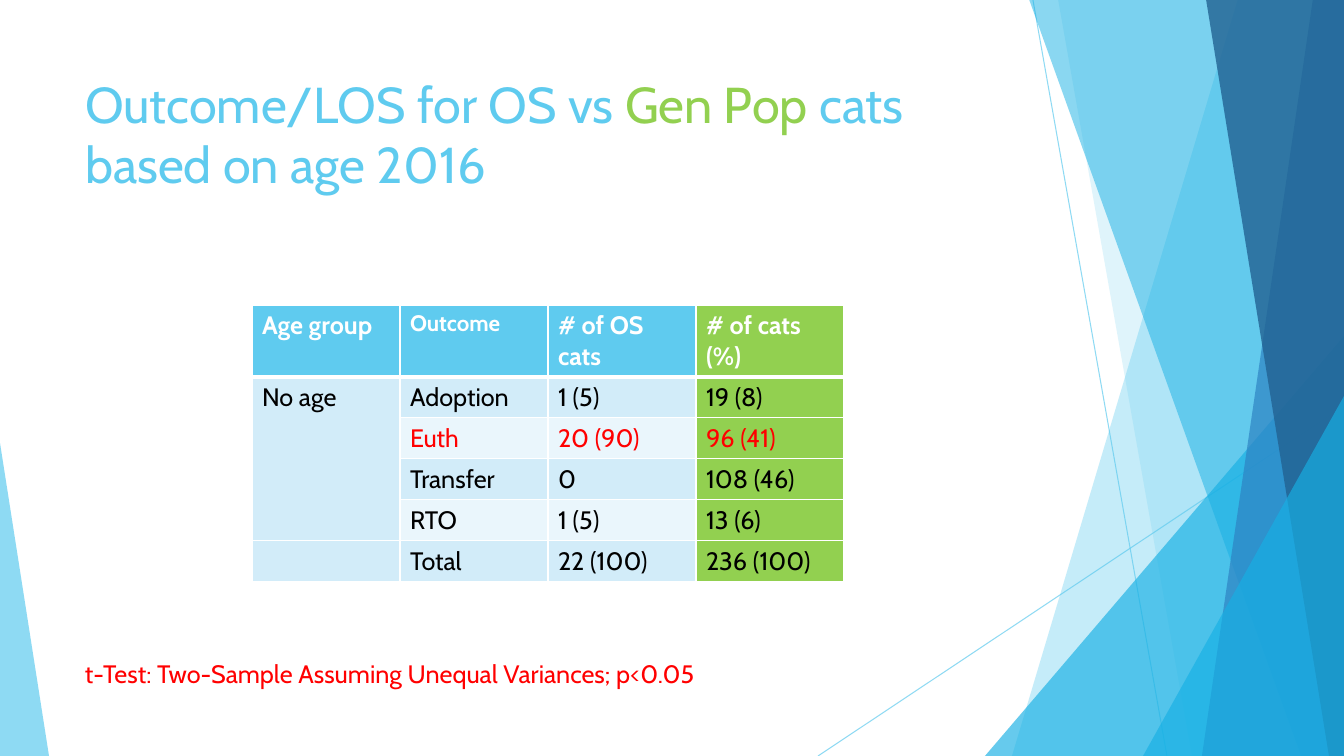
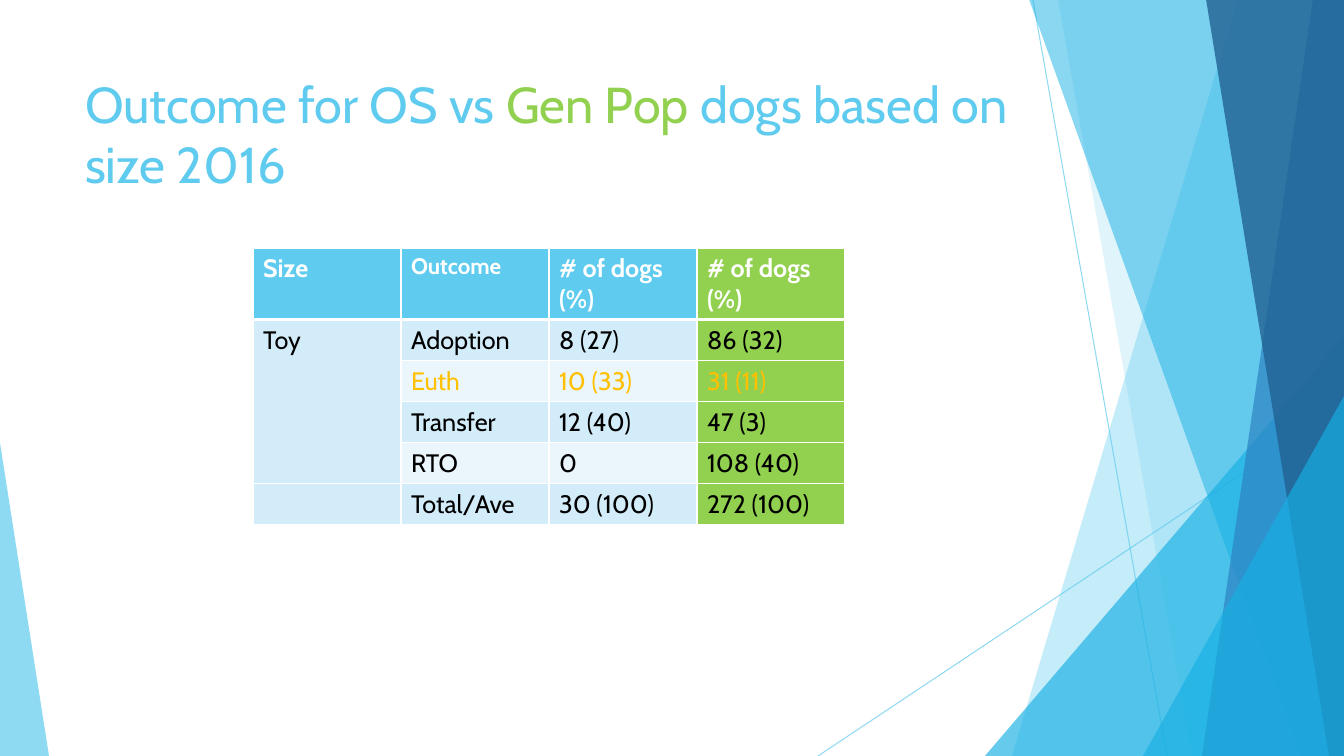
"""Build two shelter outcome slides with a shared faceted backdrop."""
from dataclasses import dataclass

from lxml.etree import SubElement
from pptx import Presentation
from pptx.dml.color import RGBColor
from pptx.enum.shapes import MSO_CONNECTOR, MSO_SHAPE
from pptx.enum.text import MSO_ANCHOR, MSO_AUTO_SIZE, PP_ALIGN
from pptx.oxml import parse_xml
from pptx.oxml.ns import nsdecls, qn
from pptx.util import Emu, Pt

EMU_PER_PIXEL = 914400 / 100.8
SLIDE_WIDTH, SLIDE_HEIGHT = 1344, 756
TITLE_BOX = (75, 68, 948, 145)
NOTE_BOX = (75, 653, 659, 40)
COLUMN_WIDTH, ROW_HEIGHT = 148, 41
TITLE_ONLY_LAYOUT = 5


@dataclass(frozen=True)
class Theme:
    """Colours, font and type sizes of the deck."""
    font: str = "Cabin"
    title_size: int = 36
    text_size: int = 18
    small_size: int = 16
    sky: str = "5FCBEF"
    cyan: str = "17B0E4"
    blue: str = "2E83C3"
    navy: str = "226292"
    green: str = "92D050"
    band_dark: str = "D2ECF9"
    band_light: str = "EAF6FC"
    white: str = "FFFFFF"
    black: str = "000000"
    red: str = "FF0000"
    amber: str = "FFC000"


THEME = Theme()


@dataclass(frozen=True)
class Ray:
    """Thin straight line of the backdrop."""
    start: tuple[int, int]
    end: tuple[int, int]


@dataclass(frozen=True)
class Facet:
    """Band from the slide's top to its bottom, closed by the right edge."""
    top: int
    bottom: int
    color: str
    opacity: int


@dataclass(frozen=True)
class Wedge:
    """Right-angled triangle with its peak at the left (0) or right (1)."""
    box: tuple[int, int, int, int]
    peak: int
    color: str
    opacity: int


@dataclass(frozen=True)
class OutcomeSlide:
    """Title parts, table and optional note of one slide."""
    title: tuple[str, str, str]
    table_corner: tuple[int, int]
    header: tuple[str, ...]
    group: str
    rows: tuple[tuple[str, str, str], ...]
    accent: str
    note: str = ""


RAYS = (Ray((1033, 0), (1167, 756)), Ray((1344, 406), (818, 756)))
PANELS = (
    Facet(1238, 1012, THEME.sky, 36),
    Facet(1058, 1192, THEME.sky, 20),
    Wedge((985, 336, 359, 420), 1, THEME.cyan, 66),
    Facet(1029, 1301, THEME.cyan, 50),
    Facet(1313, 1202, THEME.blue, 70),
    Facet(1206, 1329, THEME.navy, 80),
    Wedge((1143, 396, 201, 360), 1, THEME.cyan, 66),
    Wedge((0, 443, 49, 313), 0, THEME.sky, 70),
)
OUTCOME_SLIDES = (
    OutcomeSlide(
        title=("Outcome/LOS for OS vs ", "Gen Pop ", "cats based on age 2016"),
        table_corner=(252, 305),
        header=("Age group", "Outcome", "# of OS cats", "# of cats (%)"),
        group="No age",
        rows=(
            ("Adoption", "1 (5)", "19 (8)"),
            ("Euth", "20 (90)", "96 (41)"),
            ("Transfer", "0", "108 (46)"),
            ("RTO", "1 (5)", "13 (6)"),
            ("Total", "22 (100)", "236 (100)"),
        ),
        accent=THEME.red,
        note="t-Test: Two-Sample Assuming Unequal Variances; p<0.05",
    ),
    OutcomeSlide(
        title=("Outcome for OS vs ", "Gen Pop ", "dogs based on size 2016"),
        table_corner=(253, 248),
        header=("Size", "Outcome", "# of dogs (%)", "# of dogs (%)"),
        group="Toy",
        rows=(
            ("Adoption", "8 (27)", "86 (32)"),
            ("Euth", "10 (33)", "31 (11)"),
            ("Transfer", "12 (40)", "47 (3)"),
            ("RTO", "0", "108 (40)"),
            ("Total/Ave", "30 (100)", "272 (100)"),
        ),
        accent=THEME.amber,
    ),
)


def px(*pixels: int) -> list[Emu]:
    """Turn whole pixels into EMU."""
    return [Emu(round(pixel * EMU_PER_PIXEL)) for pixel in pixels]


def add_text(paragraph, text: str, *, size: int = THEME.text_size,
             color: str = THEME.black, bold: bool = False) -> None:
    """Append a formatted run to a paragraph."""
    run = paragraph.add_run()
    run.text = text
    run.font.name = THEME.font
    run.font.size = Pt(size)
    run.font.bold = bold
    run.font.color.rgb = RGBColor.from_string(color)


def set_opacity(shape, percent: int) -> None:
    """Make every explicit colour of a shape translucent."""
    for color in shape.element.iter(qn("a:srgbClr")):
        SubElement(color, qn("a:alpha"), val=str(percent * 1000))


def draw_ray(slide, ray: Ray):
    """Draw one thin backdrop line."""
    connector = slide.shapes.add_connector(
        MSO_CONNECTOR.STRAIGHT, *px(*ray.start, *ray.end))
    connector.line.color.rgb = RGBColor.from_string(THEME.sky)
    connector.line.width = Pt(0.75)
    SubElement(connector.element.spPr, qn("a:effectLst"))
    set_opacity(connector, 70)
    return connector


def draw_panel(slide, panel: Facet | Wedge):
    """Draw one translucent backdrop panel."""
    if isinstance(panel, Facet):
        builder = slide.shapes.build_freeform(panel.top, -1, EMU_PER_PIXEL)
        builder.add_line_segments([
            (SLIDE_WIDTH, -1), (SLIDE_WIDTH, SLIDE_HEIGHT),
            (panel.bottom, SLIDE_HEIGHT)])
        shape = builder.convert_to_shape()
    else:
        shape = slide.shapes.add_shape(
            MSO_SHAPE.ISOSCELES_TRIANGLE, *px(*panel.box))
        shape.adjustments[0] = panel.peak
    shape.shadow.inherit = False
    shape.fill.solid()
    shape.fill.fore_color.rgb = RGBColor.from_string(panel.color)
    shape.line.fill.background()
    set_opacity(shape, panel.opacity)
    return shape


def prepare_layout(layout) -> None:
    """Keep only the title placeholder and set its place."""
    for placeholder in list(layout.placeholders):
        if placeholder.placeholder_format.idx:
            layout.shapes.element.remove(placeholder.element)
        else:
            (placeholder.left, placeholder.top,
             placeholder.width, placeholder.height) = px(*TITLE_BOX)


def move_backdrop_to_layout(slide) -> None:
    """Draw the backdrop once and hand it to the shared layout."""
    shapes = [draw_ray(slide, ray) for ray in RAYS]
    shapes += [draw_panel(slide, panel) for panel in PANELS]
    for shape in shapes:
        slide.slide_layout.shapes.element.append(shape.element)


def fill_title(slide, parts: tuple[str, str, str]) -> None:
    """Write the title with its middle part in green."""
    frame = slide.shapes.title.text_frame
    frame.vertical_anchor = MSO_ANCHOR.TOP
    frame.auto_size = MSO_AUTO_SIZE.NONE
    paragraph = frame.paragraphs[0]
    paragraph.alignment = PP_ALIGN.LEFT
    for text, color in zip(parts, (THEME.sky, THEME.green, THEME.sky)):
        add_text(paragraph, text, size=THEME.title_size, color=color)


def style_cell(cell, color: str, top: int, bottom: int) -> None:
    """Fill a cell and give it white borders."""
    cell.fill.solid()
    cell.fill.fore_color.rgb = RGBColor.from_string(color)
    properties = cell._tc.get_or_add_tcPr()
    borders = (("L", 1), ("R", 1), ("T", top), ("B", bottom))
    for index, (side, points) in enumerate(borders):
        properties.insert(index, parse_xml(
            f'<a:ln{side} {nsdecls("a")} w="{Pt(points)}"><a:solidFill>'
            f'<a:srgbClr val="{THEME.white}"/></a:solidFill></a:ln{side}>'))


def draw_table(slide, content: OutcomeSlide) -> None:
    """Draw the outcome table with a green last column."""
    groups = (content.group, "", "", "", "")
    body = [(group, *row) for group, row in zip(groups, content.rows)]
    grid = [content.header, *body]
    row_count, column_count = len(grid), len(content.header)
    table = slide.shapes.add_table(
        row_count, column_count,
        *px(*content.table_corner, column_count * COLUMN_WIDTH,
            row_count * ROW_HEIGHT)).table
    table.horz_banding = False
    for row_index, texts in enumerate(grid):
        is_header = row_index == 0
        band = THEME.band_dark if row_index % 2 else THEME.band_light
        for column_index, text in enumerate(texts):
            cell = table.cell(row_index, column_index)
            fill = THEME.sky if is_header else band
            if column_index == 0 and not is_header:
                fill = THEME.band_dark
            if column_index == column_count - 1:
                fill = THEME.green
            style_cell(cell, fill, top=3 if row_index == 1 else 1,
                       bottom=3 if is_header else 1)
            if not text:
                continue
            color = content.accent if texts[1] == "Euth" else THEME.black
            add_text(
                cell.text_frame.paragraphs[0], text, bold=is_header,
                color=THEME.white if is_header else color,
                size=THEME.small_size if text == "Outcome" else THEME.text_size)
    table.cell(1, 0).merge(table.cell(row_count - 2, 0))


def draw_note(slide, text: str) -> None:
    """Write the red test note below the table."""
    frame = slide.shapes.add_textbox(*px(*NOTE_BOX)).text_frame
    frame.word_wrap = False
    frame.auto_size = MSO_AUTO_SIZE.SHAPE_TO_FIT_TEXT
    add_text(frame.paragraphs[0], text, color=THEME.red)


def main() -> None:
    """Build and save the presentation."""
    presentation = Presentation()
    presentation.slide_width, presentation.slide_height = px(
        SLIDE_WIDTH, SLIDE_HEIGHT)
    layout = presentation.slide_layouts[TITLE_ONLY_LAYOUT]
    prepare_layout(layout)
    for index, content in enumerate(OUTCOME_SLIDES):
        slide = presentation.slides.add_slide(layout)
        if index == 0:
            move_backdrop_to_layout(slide)
        fill_title(slide, content.title)
        draw_table(slide, content)
        if content.note:
            draw_note(slide, content.note)
    presentation.save("out.pptx")


main()
